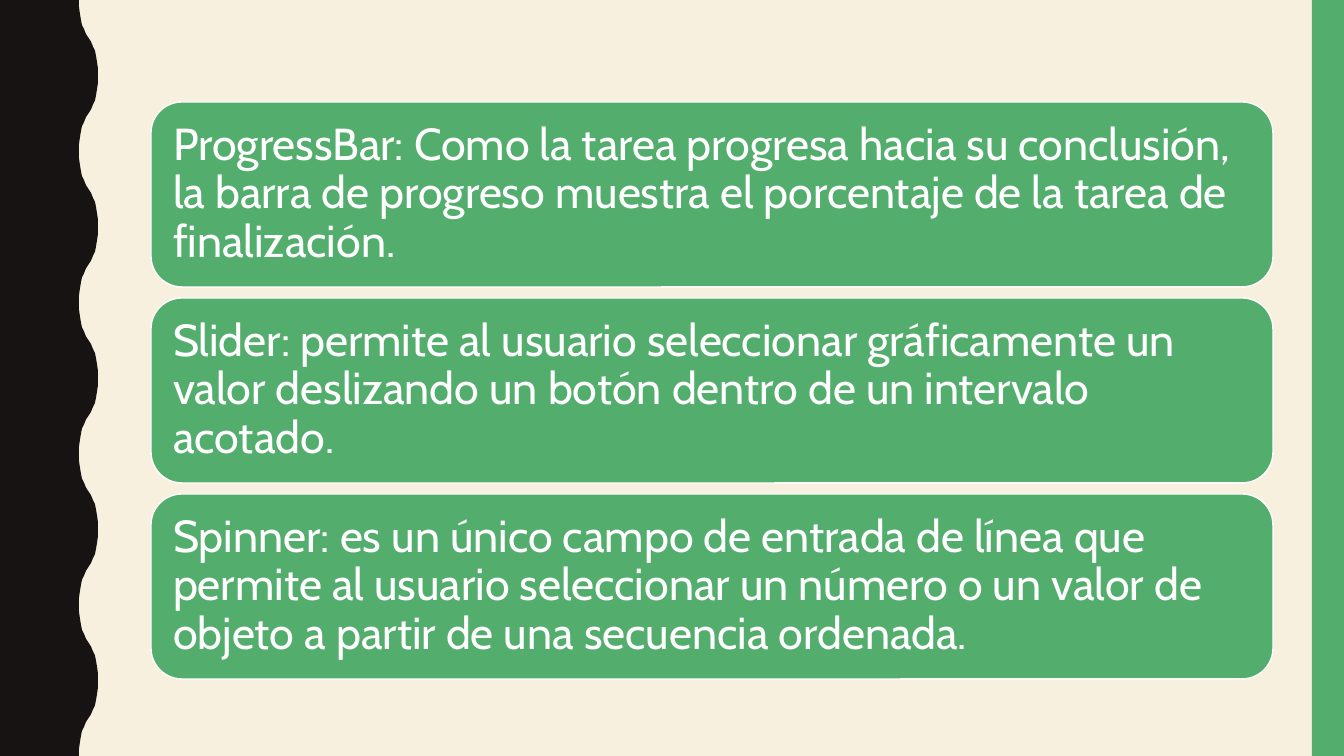
from pptx import Presentation
from pptx.dml.color import RGBColor
from pptx.enum.shapes import MSO_SHAPE
from pptx.enum.text import MSO_ANCHOR, PP_ALIGN
from pptx.util import Pt

EMU_PER_PIXEL = 914400 / 100.8
WIDTH, HEIGHT = 1344, 756
COLORS = {"cream": "F7F0DF", "black": "171312", "green": "53AE6E", "white": "FFFFFF"}
FONT = "Cabin"

WAVE_COUNT = 5
WAVE_TROUGH, WAVE_CREST = 79, 98
QUARTER_WAVE = [(79, 0), (79, 7), (80, 14), (81, 20), (82, 25), (84, 29), (86, 34)]

PANEL_LEFT, PANEL_TOP = 151, 102
PANEL_WIDTH, PANEL_HEIGHT, PANEL_PITCH = 1122, 185, 196
PANEL_MARGIN = 13
CONTROLS = [
    "ProgressBar: Como la tarea progresa hacia su conclusión, la barra de progreso "
    "muestra el porcentaje de la tarea de finalización.",
    "Slider: permite al usuario seleccionar gráficamente un valor deslizando un botón "
    "dentro de un intervalo acotado.",
    "Spinner: es un único campo de entrada de línea que permite al usuario seleccionar "
    "un número o un valor de objeto a partir de una secuencia ordenada.",
]


def emu(pixels):
    return round(pixels * EMU_PER_PIXEL)


def color(name):
    return RGBColor.from_string(COLORS[name])


def paint(shape, fill, line=None):
    shape.shadow.inherit = False
    shape.fill.solid()
    shape.fill.fore_color.rgb = color(fill)
    if line:
        shape.line.color.rgb = color(line)
        shape.line.width = Pt(1)
    else:
        shape.line.fill.background()


def add_block(slide, kind, left, top, width, height, fill, line=None):
    shape = slide.shapes.add_shape(kind, emu(left), emu(top), emu(width), emu(height))
    paint(shape, fill, line)
    return shape


def wave_points():
    half_height = HEIGHT / WAVE_COUNT / 2
    mirror = WAVE_TROUGH + WAVE_CREST
    rising = QUARTER_WAVE + [(mirror / 2, half_height / 2)]
    rising += [(mirror - x, half_height - y) for x, y in reversed(QUARTER_WAVE)]
    points = []
    for half in range(2 * WAVE_COUNT):
        for x, y in rising:
            points.append((mirror - x if half % 2 else x, half * half_height + y))
    return points


def add_wavy_edge(slide):
    outline = wave_points() + [(0, HEIGHT)]
    builder = slide.shapes.build_freeform(0, 0)
    builder.add_line_segments([(emu(x), emu(y)) for x, y in outline], close=True)
    paint(builder.convert_to_shape(), "black")


def add_panel(slide, top, text):
    shape = add_block(slide, MSO_SHAPE.ROUNDED_RECTANGLE, PANEL_LEFT, top,
                      PANEL_WIDTH, PANEL_HEIGHT, "green", "white")
    frame = shape.text_frame
    frame.word_wrap = True
    frame.vertical_anchor = MSO_ANCHOR.MIDDLE
    frame.margin_left = frame.margin_right = emu(PANEL_MARGIN)
    frame.margin_top = frame.margin_bottom = emu(PANEL_MARGIN)
    paragraph = frame.paragraphs[0]
    paragraph.text = text
    paragraph.alignment = PP_ALIGN.LEFT
    paragraph.line_spacing = 0.9
    paragraph.font.name = FONT
    paragraph.font.size = Pt(32)
    paragraph.font.color.rgb = color("white")


def main():
    presentation = Presentation()
    presentation.slide_width = emu(WIDTH)
    presentation.slide_height = emu(HEIGHT)
    slide = presentation.slides.add_slide(presentation.slide_layouts[6])
    slide.background.fill.solid()
    slide.background.fill.fore_color.rgb = color("cream")
    add_wavy_edge(slide)
    add_block(slide, MSO_SHAPE.RECTANGLE, 1312, 0, WIDTH - 1312, HEIGHT, "green")
    for row, text in enumerate(CONTROLS):
        add_panel(slide, PANEL_TOP + row * PANEL_PITCH, text)
    presentation.save("out.pptx")


main()
